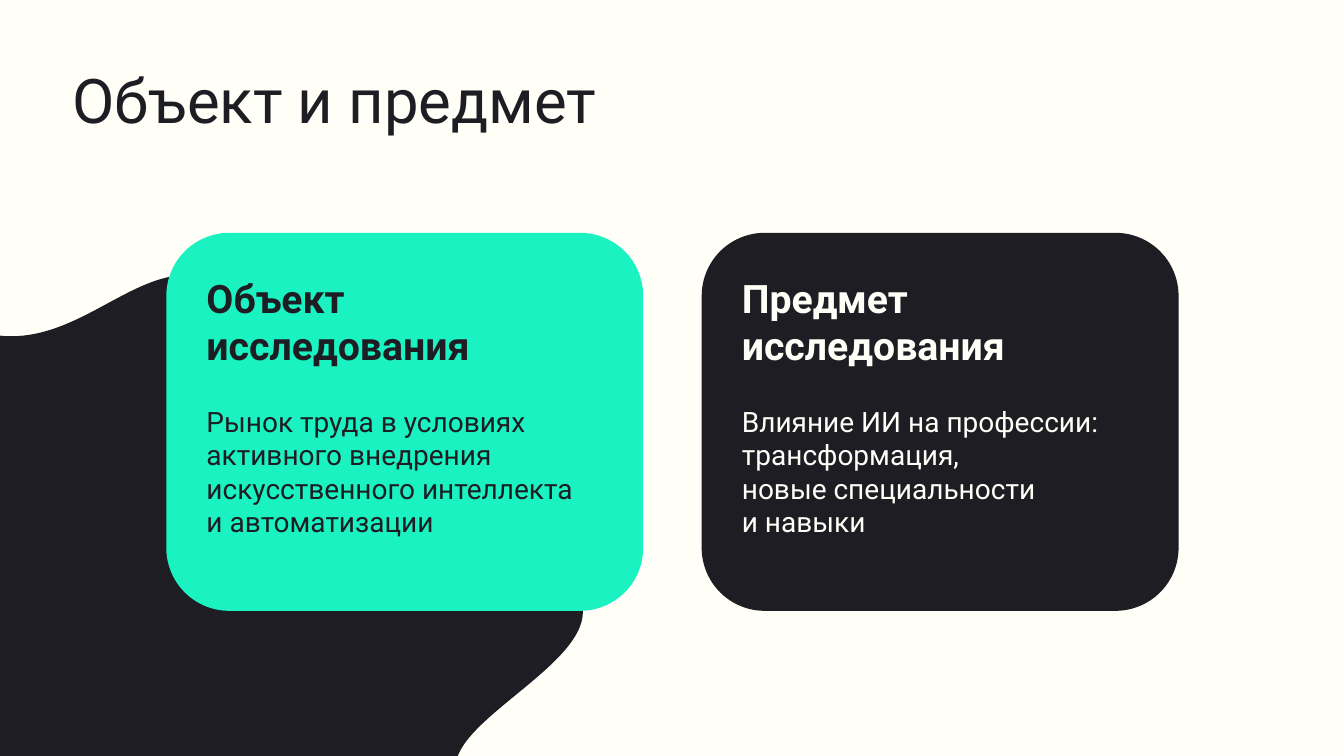
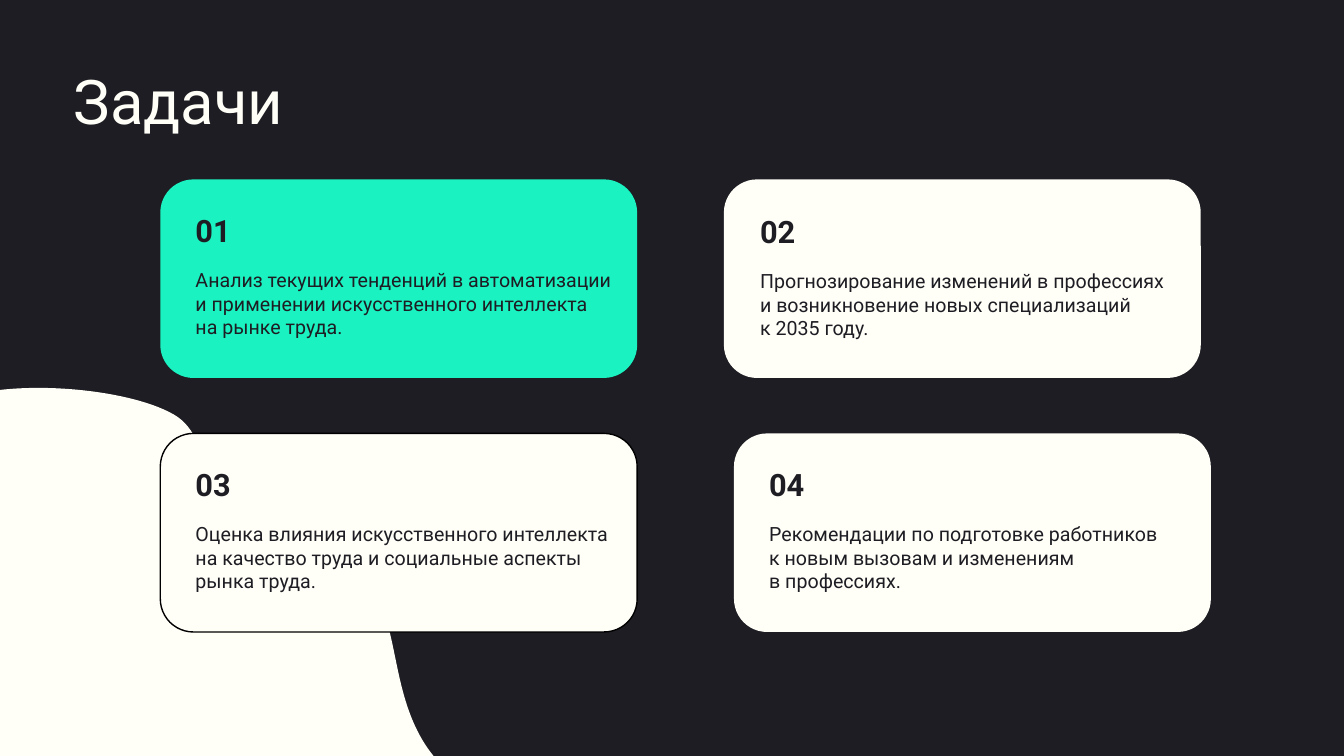
from dataclasses import dataclass
from math import cos, radians, sin

from pptx import Presentation
from pptx.dml.color import RGBColor
from pptx.enum import shapes, text
from pptx.oxml import ns, xmlchemy
from pptx.util import Inches, Pt

DARK = RGBColor(0x1D, 0x1D, 0x23)
CREAM = RGBColor(0xFF, 0xFE, 0xF7)
MINT = RGBColor(0x1A, 0xF3, 0xC1)
BLACK = RGBColor(0, 0, 0)
FONT = "Roboto"
WIDTH, HEIGHT = 13.33, 7.5


@dataclass
class CardStyle:
    width: float
    height: float
    inset: float
    heading_top: float
    heading_height: float
    heading_size: int
    body_top: float
    body_width: float
    body_height: float
    body_size: int


TOPIC_CARD = CardStyle(4.73, 3.75, 0.3, 0.36, 1.04, 28, 1.65, 4.13, 1.45, 20)
TASK_CARD = CardStyle(4.73, 1.97, 0.25, 0.27, 0.47, 22, 0.83, 4.48, 0.81, 14)

TOPIC_BLOB = [
    (3.76, 10.54),
    (4.4, 10.18), (4.91, 9.18), (5.04, 8.68),
    (5.16, 8.17), (4.4, 7.96), (4.53, 7.53),
    (4.65, 7.09), (5.77, 6.58), (5.78, 6.08),
    (5.78, 5.58), (5.04, 4.83), (4.56, 4.54),
    (4.09, 4.25), (3.23, 4.49), (2.93, 4.34),
    (2.63, 4.19), (2.75, 3.63), (2.75, 3.63),
    (2.77, 3.17), (2.86, 3.07), (2.12, 2.78),
    (1.38, 2.49), (0.76, 3.54), (-0.17, 3.3),
    (-1.1, 3.06), (-1.67, 4.76), (-2.61, 5.1),
    (-3.56, 5.45), (-3.78, 6.76), (-2.8, 7.24),
    (-1.82, 7.71), (-1.93, 8.92), (-1.42, 9.28),
    (-0.91, 9.63), (-0.18, 9.1), (0.26, 9.36),
    (0.7, 9.62), (0.61, 10.65), (1.2, 10.85),
    (1.79, 11.05), (3.12, 10.9), (3.76, 10.54),
]
TASK_BLOB = [
    (-0.39, 3.95),
    (-0.96, 4.15), (-1.49, 4.88), (-1.66, 5.27),
    (-1.83, 5.66), (-1.23, 5.97), (-1.39, 6.3),
    (-1.54, 6.64), (-2.51, 6.88), (-2.58, 7.29),
    (-2.64, 7.69), (-2.13, 8.43), (-1.78, 8.74),
    (-1.43, 9.06), (-0.7, 9), (-0.47, 9.17),
    (-0.25, 9.35), (-0.41, 9.79), (-0.41, 9.79),
    (-0.49, 10.16), (-0.58, 10.23), (-0.01, 10.59),
    (0.56, 10.95), (1.2, 10.18), (1.92, 10.54),
    (2.65, 10.89), (3.31, 9.58), (4.13, 9.45),
    (4.94, 9.32), (5.28, 8.29), (4.54, 7.73),
    (3.8, 7.18), (4.03, 6.21), (3.66, 5.83),
    (3.29, 5.46), (2.63, 5.78), (2.31, 5.49),
    (1.98, 5.21), (2.18, 4.37), (1.72, 4.11),
    (1.26, 3.85), (0.17, 3.76), (-0.39, 3.95),
]

TOPICS = [
    (1.65, MINT, DARK, "Объект исследования",
     ["Рынок труда в условиях активного внедрения искусственного интеллекта",
      "и автоматизации"]),
    (6.96, DARK, CREAM, "Предмет исследования",
     ["Влияние ИИ на профессии: трансформация,",
      "новые специальности",
      "и навыки"]),
]
TASKS = [
    (1.59, 1.78, 0, MINT, None,
     ["Анализ текущих тенденций в автоматизации",
      "и применении искусственного интеллекта",
      "на рынке труда."]),
    (7.18, 1.78, 0.01, CREAM, None,
     ["Прогнозирование изменений в профессиях",
      "и возникновение новых специализаций",
      "к 2035 году."]),
    (1.59, 4.3, 0, CREAM, BLACK,
     ["Оценка влияния искусственного интеллекта на качество труда "
      "и социальные аспекты рынка труда."]),
    (7.28, 4.3, 0, CREAM, None,
     ["Рекомендации по подготовке работников",
      "к новым вызовам и изменениям",
      "в профессиях."]),
]


def paint(shape, fill, outline=None):
    shape.shadow.inherit = False
    shape.fill.solid()
    shape.fill.fore_color.rgb = fill
    if outline is None:
        shape.line.fill.background()
    else:
        shape.line.color.rgb = outline
        shape.line.width = Pt(1)


def write(frame, lines, size, color, bold=False):
    frame.word_wrap = True
    frame.auto_size = text.MSO_AUTO_SIZE.NONE
    frame.vertical_anchor = text.MSO_ANCHOR.TOP
    for index, line in enumerate(lines):
        paragraph = frame.add_paragraph() if index else frame.paragraphs[0]
        paragraph.text = line
        paragraph.alignment = text.PP_ALIGN.LEFT
        font = paragraph.font
        font.name, font.size, font.bold = FONT, Pt(size), bold
        font.color.rgb = color


def add_label(slide, box, lines, size, color, bold=False):
    label = slide.shapes.add_textbox(*map(Inches, box))
    write(label.text_frame, lines, size, color, bold)


def add_titled_slide(prs, title, box, background, color):
    slide = prs.slides.add_slide(prs.slide_layouts[5])
    slide.background.fill.solid()
    slide.background.fill.fore_color.rgb = background
    heading = slide.shapes.title
    heading.left, heading.top, heading.width, heading.height = map(Inches, box)
    write(heading.text_frame, [title], 44, color)
    return slide


def turn(point, degrees):
    x, y = point
    angle = radians(degrees)
    return x * cos(angle) - y * sin(angle), x * sin(angle) + y * cos(angle)


def curve_segments(shape):
    segments = list(shape._element.iter(ns.qn("a:lnTo")))
    for start in range(0, len(segments), 3):
        curve = xmlchemy.OxmlElement("a:cubicBezTo")
        segments[start].addprevious(curve)
        for segment in segments[start:start + 3]:
            curve.append(segment[0])
            segment.getparent().remove(segment)


def add_blob(slide, knots, rotation, color):
    upright = [tuple(Inches(v) for v in turn(knot, -rotation)) for knot in knots]
    builder = slide.shapes.build_freeform(*upright[0])
    builder.add_line_segments(upright[1:], close=True)
    blob = builder.convert_to_shape()
    curve_segments(blob)
    center = blob.left + blob.width / 2, blob.top + blob.height / 2
    center_x, center_y = turn(center, rotation)
    blob.left = round(center_x - blob.width / 2)
    blob.top = round(center_y - blob.height / 2)
    blob.rotation = rotation
    paint(blob, color)


def add_card(slide, left, top, style, fill, color, heading, lines,
             outline=None, nudge=0):
    card = slide.shapes.add_shape(
        shapes.MSO_SHAPE.ROUNDED_RECTANGLE,
        *map(Inches, (left, top, style.width, style.height)))
    paint(card, fill, outline)
    text_left, text_top = left + style.inset + nudge, top + nudge
    add_label(slide, (text_left, text_top + style.heading_top,
                      style.width - 2 * style.inset, style.heading_height),
              [heading], style.heading_size, color, bold=True)
    add_label(slide, (text_left, text_top + style.body_top,
                      style.body_width, style.body_height),
              lines, style.body_size, color)


def build_topic_slide(prs):
    slide = add_titled_slide(prs, "Объект и предмет", (0.62, 0.56, 9.08, 0.84),
                             CREAM, DARK)
    add_blob(slide, TOPIC_BLOB, 135.2, DARK)
    for left, fill, color, heading, lines in TOPICS:
        add_card(slide, left, 2.31, TOPIC_CARD, fill, color, heading, lines)


def build_task_slide(prs):
    slide = add_titled_slide(prs, "Задачи", (0.63, 0.57, 6.65, 0.84), DARK, CREAM)
    add_blob(slide, TASK_BLOB, 325.1, CREAM)
    for number, (left, top, nudge, fill, outline, lines) in enumerate(TASKS, 1):
        add_card(slide, left, top, TASK_CARD, fill, DARK, f"{number:02}", lines,
                 outline, nudge)


def main():
    prs = Presentation()
    prs.slide_width, prs.slide_height = Inches(WIDTH), Inches(HEIGHT)
    build_topic_slide(prs)
    build_task_slide(prs)
    prs.save("out.pptx")


if __name__ == "__main__":
    main()
